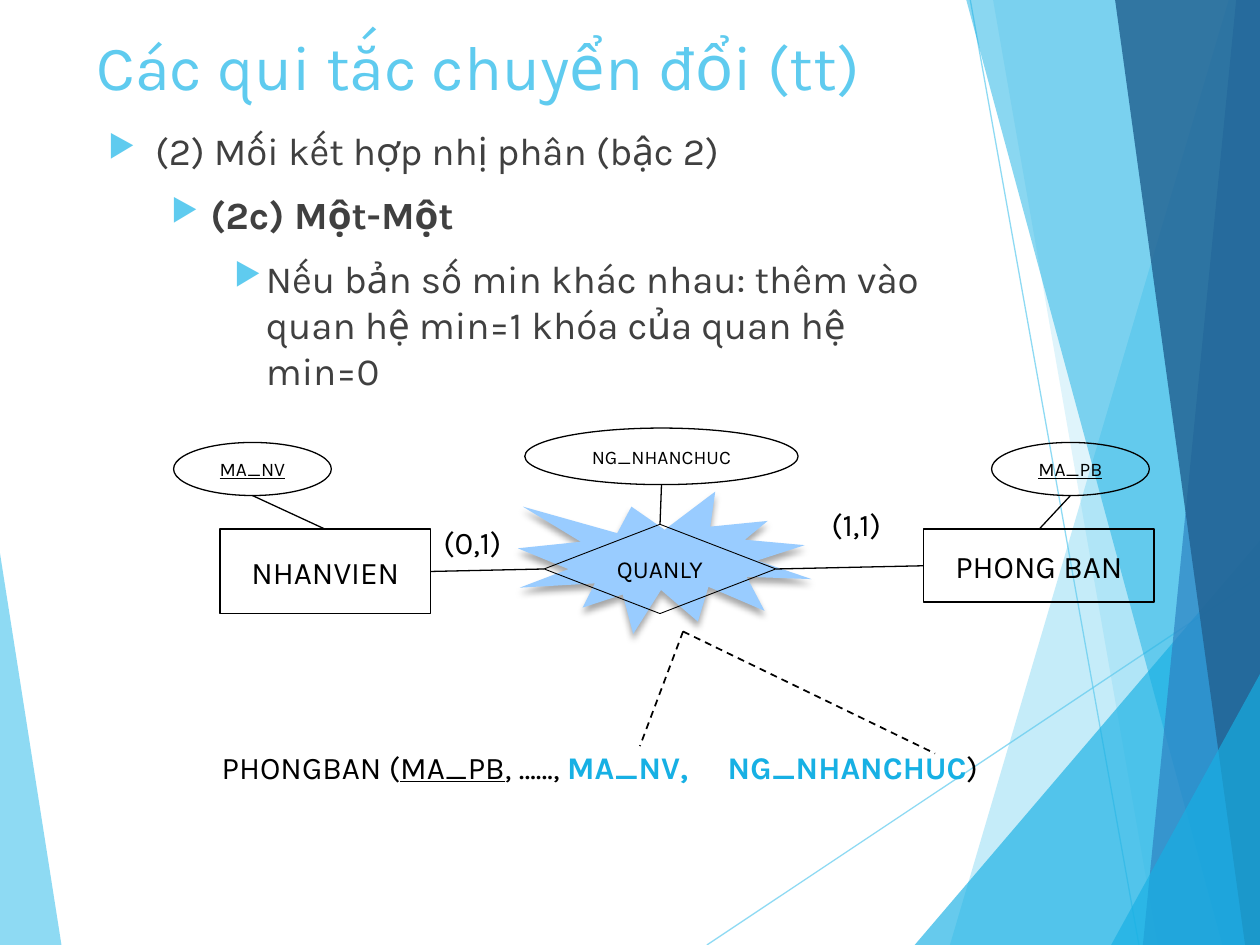
"""Build a slide on converting one-to-one relationships into relations."""
from lxml.etree import SubElement
from pptx import Presentation
from pptx.dml.color import RGBColor
from pptx.enum.dml import MSO_LINE_DASH_STYLE as Dash
from pptx.enum.shapes import MSO_CONNECTOR, MSO_SHAPE as Shape
from pptx.enum.text import MSO_ANCHOR as Anchor, PP_ALIGN as Align
from pptx.oxml.ns import qn
from pptx.util import Cm, Pt

WIDTH, HEIGHT = 25.4, 19.05
FONT = "Karla"
SKY, CYAN, BLUE, NAVY = "5FCBEF", "17B0E4", "2E83C3", "226292"
BLACK, GREY, PALE = "000000", "404040", "99CCFF"
TOP, LEFT, BOTTOM, RIGHT = range(4)

RAYS = [((14.25, HEIGHT), (WIDTH, 11.62)), ((19.56, 0), (22.96, HEIGHT))]
LEFT_FACETS = [((0, 11.15), (1.24, HEIGHT), SKY, 70)]
RIGHT_FACETS = [
    ((24.77, 0), (19.15, HEIGHT), SKY, 36),
    ((20.02, 0), (23.34, HEIGHT), SKY, 20),
    ((18.44, HEIGHT), (WIDTH, 10.9), CYAN, 66),
    ((19.48, 0), (24.64, HEIGHT), CYAN, 50),
    ((24.92, 0), (23.04, HEIGHT), BLUE, 70),
    ((22.48, 0), (25.1, HEIGHT), NAVY, 82),
    ((22.4, HEIGHT), (WIDTH, 13.59), CYAN, 66),
]

TITLE = "Các qui tắc chuyển đổi (tt)"
BULLETS = [
    ("(2) Mối kết hợp nhị phân (bậc 2)", 0.95, 0.95, False),
    ("(2c) Một-Một", 2.06, 0.79, True),
    ("Nếu bản số min khác nhau: thêm vào quan hệ min=1 khóa của quan hệ min=0",
     3.18, 0.64, False),
]

NODES = {
    "PHONG BAN": (Shape.RECTANGLE, (18.62, 10.67, 4.65, 1.47), 1, 18, False),
    "NHANVIEN": (Shape.RECTANGLE, (4.44, 10.67, 4.24, 1.7), 1, 18, False),
    "MA_NV": (Shape.OVAL, (3.5, 8.92, 3.18, 1.07), 0.75, 11, True),
    "MA_PB": (Shape.OVAL, (19.99, 8.92, 3.18, 1.07), 0.75, 11, True),
    "QUANLY": (Shape.DIAMOND, (10.97, 10.57, 4.67, 1.8), 0.5, 14, False),
    "NG_NHANCHUC": (Shape.OVAL, (10.58, 8.63, 5.51, 1.14), 0.75, 11, False),
}
LINKS = [
    ("MA_NV", BOTTOM, "NHANVIEN", TOP),
    ("MA_PB", BOTTOM, "PHONG BAN", TOP),
    ("NG_NHANCHUC", BOTTOM, "QUANLY", TOP),
    ("NHANVIEN", RIGHT, "QUANLY", LEFT),
    ("QUANLY", RIGHT, "PHONG BAN", LEFT),
]
BURST = (10.44, 9.91, 5.92, 2.87)
DASH_START, DASH_ENDS = (13.77, 12.73), [(18.85, 15.19), (12.9, 15.04)]
CARDINALITIES = [("(0,1)", (8.69, 10.41, 2.03, 1.02)),
                 ("(1,1)", (16.51, 10.06, 1.9, 1.02))]
RELATION = [
    ("PHONGBAN (", BLACK, False, False),
    ("MA_PB", BLACK, False, True),
    (", ……, ", BLACK, False, False),
    ("MA_NV,\tNG_NHANCHUC", CYAN, True, False),
    (")", BLACK, False, False),
]


def rgb(color):
    return RGBColor.from_string(color)


def style(font, size, color, bold=False, underline=False):
    font.name, font.size = FONT, Pt(size)
    font.color.rgb = rgb(color)
    font.bold, font.underline = bold, underline


def set_alpha(element, percent):
    color = element.find(f".//{qn('a:srgbClr')}")
    SubElement(color, qn("a:alpha"), val=str(percent * 1000))


def add_line(page, start, end, color=BLACK, weight=0.75):
    line = page.shapes.add_connector(
        MSO_CONNECTOR.STRAIGHT, *(Cm(value) for value in (*start, *end)))
    line.line.color.rgb = rgb(color)
    line.line.width = Pt(weight)
    SubElement(line._element.spPr, qn("a:effectLst"))
    return line


def add_facet(page, start, end, color, alpha, side):
    outline = [start, end, (side, end[1]), (side, start[1])]
    points = [(Cm(x), Cm(y)) for x, y in outline]
    builder = page.shapes.build_freeform(*points[0])
    builder.add_line_segments(points[1:])
    facet = builder.convert_to_shape()
    facet.fill.solid()
    facet.fill.fore_color.rgb = rgb(color)
    facet.line.fill.background()
    facet.shadow.inherit = False
    set_alpha(facet._element.spPr, alpha)


def add_backdrop(page):
    for side, facets in ((0, LEFT_FACETS), (WIDTH, RIGHT_FACETS)):
        if side:
            for start, end in RAYS:
                ray = add_line(page, start, end, SKY)
                set_alpha(ray._element.spPr, 70)
        for facet in facets:
            add_facet(page, *facet, side)


def add_box(page, place, text="", size=18, color=BLACK):
    box = page.shapes.add_textbox(*map(Cm, place))
    box.text_frame.word_wrap = True
    box.text_frame.text = text
    style(box.text_frame.paragraphs[0].font, size, color)
    return box.text_frame


def add_bullets(page):
    frame = add_box(page, (1.93, 2.44, 17.63, 10.77))
    for index, (text, margin, hang, bold) in enumerate(BULLETS):
        para = frame.add_paragraph() if index else frame.paragraphs[0]
        para.text, para.level = text, index
        if index:
            para.space_before = Pt(10)
        props = para._p.get_or_add_pPr()
        for old in list(props.findall(qn("a:defRPr"))):
            props.remove(old)
        props.set("marL", str(Cm(margin)))
        props.set("indent", str(-Cm(hang)))
        SubElement(SubElement(props, qn("a:buClr")), qn("a:srgbClr"), val=SKY)
        SubElement(props, qn("a:buSzPct"), val="80000")
        SubElement(props, qn("a:buChar"), char="▶")
        style(para.runs[0].font, 22, GREY, bold)


def add_burst(page):
    burst = page.shapes.add_shape(Shape.EXPLOSION1, *map(Cm, BURST))
    burst.fill.solid()
    burst.fill.fore_color.rgb = rgb(PALE)
    burst.line.fill.background()
    burst.shadow.inherit = False
    effects = burst._element.spPr.find(qn("a:effectLst"))
    shadow = SubElement(effects, qn("a:outerShdw"), blurRad=str(Pt(4)),
                        dist=str(Pt(3)), dir="5400000", rotWithShape="0")
    SubElement(shadow, qn("a:srgbClr"), val=BLACK)
    set_alpha(effects, 35)


def add_node(page, text, kind, place, weight, size, underline):
    node = page.shapes.add_shape(kind, *map(Cm, place))
    node.fill.background()
    node.line.color.rgb = rgb(BLACK)
    node.line.width = Pt(weight)
    node.shadow.inherit = False
    frame = node.text_frame
    frame.text, frame.vertical_anchor = text, Anchor.MIDDLE
    frame.word_wrap = True
    para = frame.paragraphs[0]
    para.alignment = Align.CENTER
    style(para.runs[0].font, size, BLACK, underline=underline)
    return node


def side_middle(name, side):
    x, y, width, height = NODES[name][1]
    return [(x + width / 2, y), (x, y + height / 2),
            (x + width / 2, y + height), (x + width, y + height / 2)][side]


def add_diagram(page):
    add_burst(page)
    for end in DASH_ENDS:
        add_line(page, DASH_START, end, weight=1).line.dash_style = Dash.DASH
    nodes = {name: add_node(page, name, *look) for name, look in NODES.items()}
    for first, out, second, into in LINKS:
        link = add_line(page, side_middle(first, out), side_middle(second, into))
        if NODES[first][0] != Shape.OVAL:
            link.begin_connect(nodes[first], out)
        link.end_connect(nodes[second], into)
    for text, place in CARDINALITIES:
        add_box(page, place, text)


def add_relation(page):
    para = add_box(page, (4.22, 14.96, 16.89, 1.02)).paragraphs[0]
    props = para._p.get_or_add_pPr()
    for old in list(props.findall(qn("a:defRPr"))):
        props.remove(old)
    tabs = SubElement(props, qn("a:tabLst"))
    SubElement(tabs, qn("a:tab"), pos=str(Cm(10.2)), algn="l")
    for text, color, bold, underline in RELATION:
        span = para.add_run()
        span.text = text
        style(span.font, 18, color, bold, underline)


def main():
    deck = Presentation()
    deck.slide_width, deck.slide_height = Cm(WIDTH), Cm(HEIGHT)
    page = deck.slides.add_slide(deck.slide_layouts[6])
    add_backdrop(page)
    add_box(page, (1.7, 0.43, 17.63, 2.06), TITLE, 36, SKY)
    add_bullets(page)
    add_diagram(page)
    add_relation(page)
    deck.save("out.pptx")


if __name__ == "__main__":
    main()
